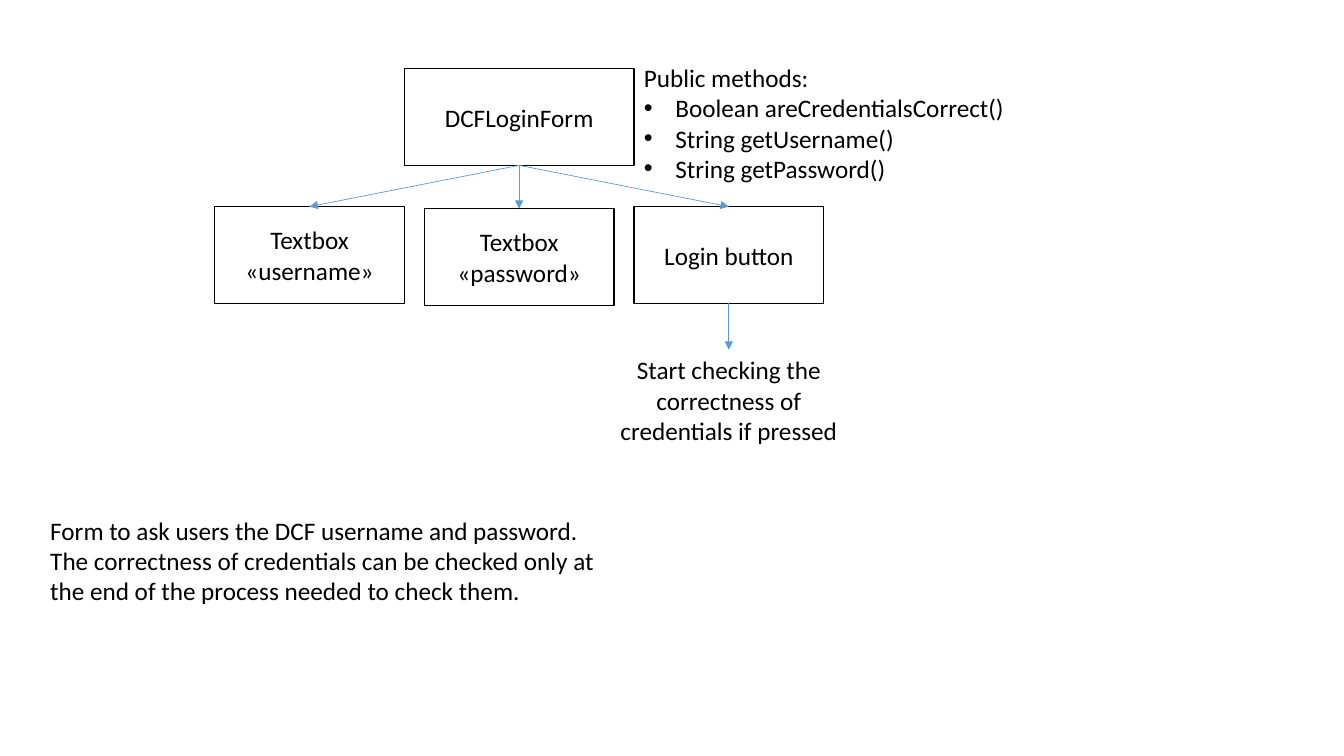
"""Build the login form structure slide."""
import pptx
import pptx.util
import pptx.dml.color
import pptx.enum.shapes
import pptx.enum.text
import pptx.oxml
import pptx.oxml.ns

Pt = pptx.util.Pt
BLACK = pptx.dml.color.RGBColor(0x00, 0x00, 0x00)
WHITE = pptx.dml.color.RGBColor(0xFF, 0xFF, 0xFF)
BLUE = pptx.dml.color.RGBColor(0x5B, 0x9B, 0xD5)
LEFT = pptx.enum.text.PP_ALIGN.LEFT
CENTER = pptx.enum.text.PP_ALIGN.CENTER
FONT_FORMAT = {"name": "Calibri", "size": Pt(18)}
BULLET_FORMAT = {"marL": str(Pt(22.5)), "indent": str(Pt(-22.5))}
CHILD_WIDTH, BOX_HEIGHT = 135.4, 69.1
CHILD_LEFT, CHILD_STEP = 153.4, 149.75
CHILDREN = [
    ("Textbox «username»", 147.6),
    ("Textbox «password»", 149),
    ("Login button", 147.6),
]
METHODS = [
    "Boolean areCredentialsCorrect()",
    "String getUsername()",
    "String getPassword()",
]


def add_element(parent, tag, **values):
    """Append a drawing element with the given attributes."""
    element = pptx.oxml.parse_xml(f"<{tag} {pptx.oxml.ns.nsdecls('a')}/>")
    for name, value in values.items():
        element.set(name, value)
    parent.append(element)


def add_line(para, text, align):
    """Write one paragraph in the common font."""
    para.alignment = align
    span = para.add_run()
    span.text = text
    for name, value in FONT_FORMAT.items():
        setattr(span.font, name, value)
    span.font.color.rgb = BLACK


def add_box(page, text, left, top, width):
    """Add an outlined box with centred text."""
    kind = pptx.enum.shapes.MSO_SHAPE.RECTANGLE
    box = page.shapes.add_shape(kind, Pt(left), Pt(top), Pt(width), Pt(BOX_HEIGHT))
    box.shadow.inherit = False
    box.fill.solid()
    box.fill.fore_color.rgb = WHITE
    box.line.color.rgb = BLACK
    box.line.width = Pt(1)
    box.text_frame.vertical_anchor = pptx.enum.text.MSO_ANCHOR.MIDDLE
    add_line(box.text_frame.paragraphs[0], text, CENTER)
    return box


def add_note(page, text, left, top, width, height, align=LEFT, bullets=()):
    """Add a wrapped text box, with optional bulleted lines below its text."""
    note = page.shapes.add_textbox(Pt(left), Pt(top), Pt(width), Pt(height))
    frame = note.text_frame
    frame.word_wrap = True
    frame.auto_size = pptx.enum.text.MSO_AUTO_SIZE.SHAPE_TO_FIT_TEXT
    add_line(frame.paragraphs[0], text, align)
    for bullet in bullets:
        para = frame.add_paragraph()
        add_line(para, bullet, align)
        settings = para._p.get_or_add_pPr()
        for name, value in BULLET_FORMAT.items():
            settings.set(name, value)
        add_element(settings, "a:buFont", typeface="Arial")
        add_element(settings, "a:buChar", char="•")
    return note


def add_arrow(page, source, target):
    """Join the bottom of one shape to the top of another."""
    kind = pptx.enum.shapes.MSO_CONNECTOR.STRAIGHT
    arrow = page.shapes.add_connector(kind, 0, 0, 0, 0)
    arrow.begin_connect(source, 2)
    arrow.end_connect(target, 0)
    arrow.line.color.rgb = BLUE
    arrow.line.width = Pt(0.5)
    add_element(arrow.line._get_or_add_ln(), "a:tailEnd", type="triangle")
    add_element(arrow._element.spPr, "a:effectLst")


def main():
    """Build and save the deck."""
    deck = pptx.Presentation()
    deck.slide_width, deck.slide_height = Pt(960), Pt(540)
    page = deck.slides.add_slide(deck.slide_layouts[6])
    form = add_box(page, "DCFLoginForm", 288.75, 49, 164.2)
    for index, (text, top) in enumerate(CHILDREN):
        child = add_box(page, text, CHILD_LEFT + index * CHILD_STEP, top, CHILD_WIDTH)
        add_arrow(page, form, child)
    action = add_note(page, "Start checking the correctness of credentials if pressed",
                      422.3, 249.8, 196.6, 72.7, CENTER)
    add_arrow(page, child, action)
    add_note(page, "Public methods:", 452.9, 41, 434.2, 94.3, bullets=METHODS)
    add_note(page, "Form to ask users the DCF username and password. The correctness of "
             "credentials can be checked only at the end of the process needed to check them.",
             28.8, 364.3, 416.9, 72.7)
    deck.save("out.pptx")


if __name__ == "__main__":
    main()
